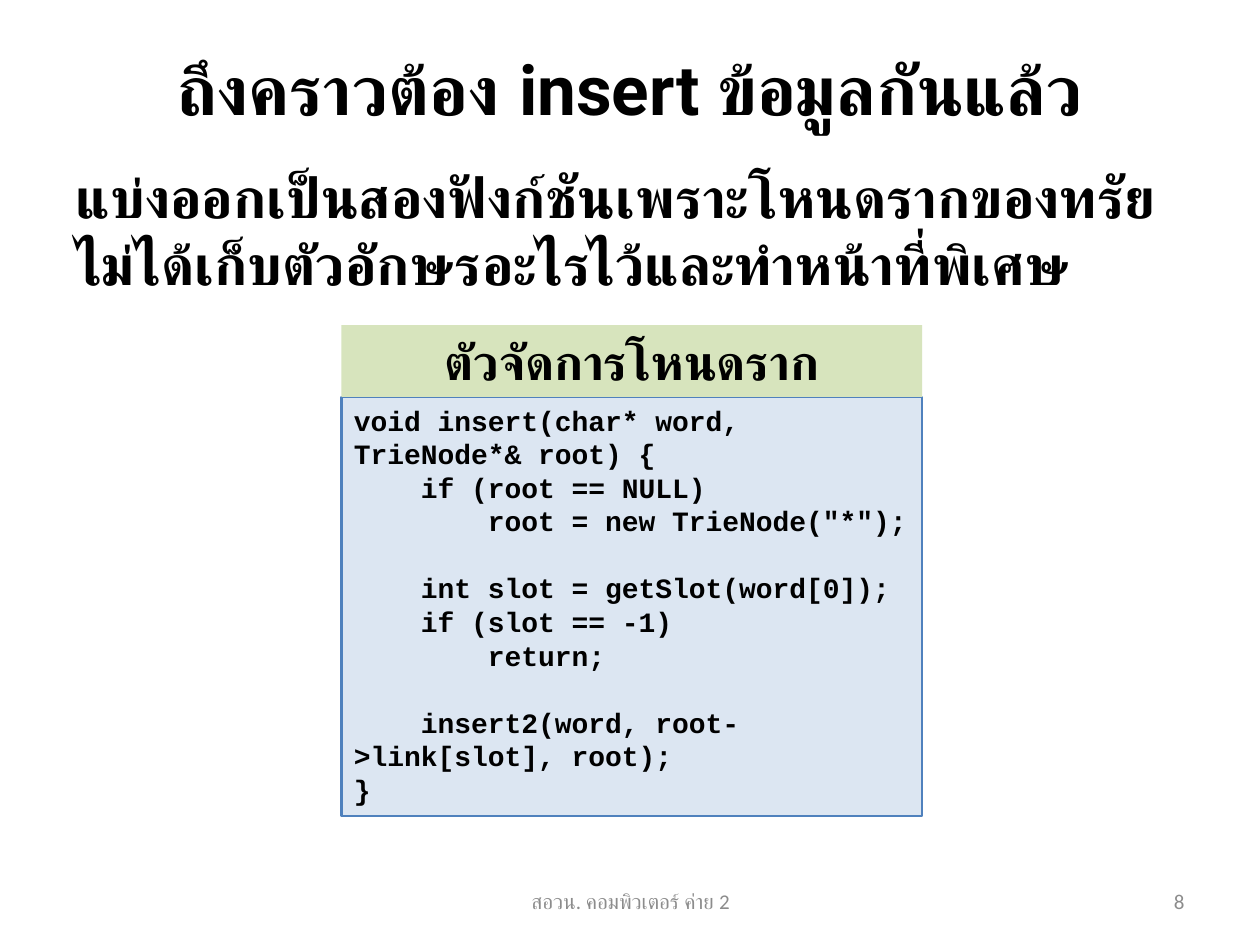
from pptx import Presentation
from pptx.dml.color import RGBColor
from pptx.enum.shapes import MSO_SHAPE
from pptx.enum.text import MSO_ANCHOR, MSO_AUTO_SIZE, PP_ALIGN
from pptx.util import Inches, Pt

TITLE = "ถึงคราวต้อง insert ข้อมูลกันแล้ว"
BODY = "แบ่งออกเป็นสองฟังก์ชันเพราะโหนดรากของทรัยไม่ได้เก็บตัวอักษรอะไรไว้และทำหน้าที่พิเศษ"
HEAD = "ตัวจัดการโหนดราก"
CODE = """void insert(char* word, TrieNode*& root) {
    if (root == NULL)
        root = new TrieNode("*");

    int slot = getSlot(word[0]);
    if (slot == -1)
        return;

    insert2(word, root->link[slot], root);
}"""
FOOT = "สอวน. คอมพิวเตอร์ ค่าย 2"
PAGE = "8"

BLACK, GREY = "000000", "8C8C8C"
LEFT, TOP, WIDTH = 2.71, 2.58, 4.61
HEAD_H, CODE_H = 0.57, 3.33
FOOT_Y, FOOT_H = 6.95, 0.4


def color(code):
    return RGBColor.from_string(code)


def write(shape, text, size, font, ink=BLACK, bold=True,
          align=PP_ALIGN.LEFT, anchor=MSO_ANCHOR.TOP):
    """Fill the shape with one paragraph for each line of text."""
    frame = shape.text_frame
    frame.word_wrap = True
    frame.auto_size = MSO_AUTO_SIZE.NONE
    frame.vertical_anchor = anchor
    for i, line in enumerate(text.split("\n")):
        para = frame.add_paragraph() if i else frame.paragraphs[0]
        para.alignment = align
        para.font.size = Pt(size)
        if line:
            run = para.add_run()
            run.text = line
            run.font.name = font
            run.font.size = Pt(size)
            run.font.bold = bold
            run.font.color.rgb = color(ink)
    return frame


def add_text(slide, box, *args, **style):
    shape = slide.shapes.add_textbox(*map(Inches, box))
    return write(shape, *args, **style)


def add_panel(slide, y, h, fill, line=None):
    shape = slide.shapes.add_shape(
        MSO_SHAPE.RECTANGLE, *map(Inches, (LEFT, y, WIDTH, h)))
    shape.shadow.inherit = False
    shape.fill.solid()
    shape.fill.fore_color.rgb = color(fill)
    if line:
        shape.line.color.rgb = color(line)
        shape.line.width = Pt(1.25)
    else:
        shape.line.fill.background()
    return shape


def main():
    deck = Presentation()
    deck.slide_width, deck.slide_height = Inches(10), Inches(7.5)
    slide = deck.slides.add_slide(deck.slide_layouts[5])

    title = slide.shapes.title
    title.left, title.top, title.width, title.height = map(
        Inches, (0.5, 0.31, 9, 0.78))
    write(title, TITLE, 39.6, "Roboto",
          align=PP_ALIGN.CENTER, anchor=MSO_ANCHOR.MIDDLE)

    body = add_text(slide, (0.5, 1.24, 8.83, 5.95), BODY, 32, "Roboto")
    body.paragraphs[0].space_before = Pt(6.4)

    code = add_panel(slide, TOP + HEAD_H, CODE_H, "DCE6F2", "4F81BD")
    write(code, CODE, 16, "Courier New")
    head = add_panel(slide, TOP, HEAD_H, "D7E4BD")
    write(head, HEAD, 28, "Courier New", align=PP_ALIGN.CENTER)

    for x, w, text, align in [(3.42, 3.17, FOOT, PP_ALIGN.CENTER),
                              (7.17, 2.33, PAGE, PP_ALIGN.RIGHT)]:
        add_text(slide, (x, FOOT_Y, w, FOOT_H), text, 12, "Calibri", GREY,
                 bold=False, align=align, anchor=MSO_ANCHOR.MIDDLE)

    deck.save("out.pptx")


if __name__ == "__main__":
    main()
